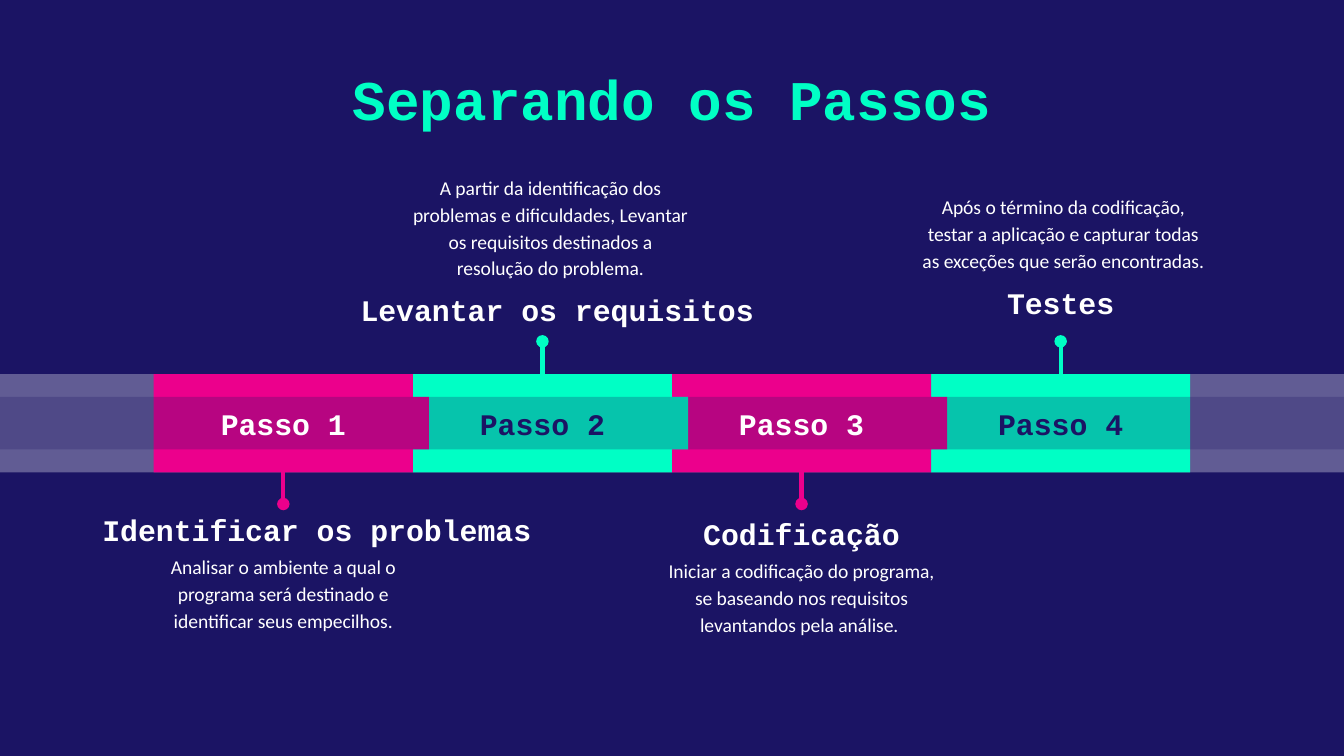
import dataclasses
import typing

import lxml.etree
import pptx
import pptx.dml.color
import pptx.enum.shapes
import pptx.enum.text
import pptx.oxml.ns
import pptx.util

COLUMNS, ROWS = 100, 56.25
CELL = pptx.util.Inches(0.1)
ANCHOR = pptx.enum.text.MSO_ANCHOR


@dataclasses.dataclass(frozen=True)
class Theme:
    navy: str = "1B1464"
    mint: str = "00FFC5"
    pink: str = "EC008C"
    white: str = "FFFFFF"
    heading_font: str = "Courier New"
    body_font: str = "Calibri"
    title_size: float = 30
    heading_size: float = 16
    body_size: float = 10.5
    stem_width: float = 2.25
    body_spacing: float = 1.15


class Area(typing.NamedTuple):
    left: float
    top: float
    width: float
    height: float


@dataclasses.dataclass(frozen=True)
class Block:
    text: str
    shift: float
    top: float
    width: float
    height: float
    anchor: ANCHOR = ANCHOR.TOP

    def area(self, centre: float) -> Area:
        return Area(centre + self.shift - self.width / 2, self.top, self.width, self.height)


@dataclasses.dataclass(frozen=True)
class Step:
    heading: Block
    body: Block


THEME = Theme()
BAND = Area(0, 27.83, COLUMNS, 7.32)
STRIPE = Area(0, 29.53, COLUMNS, 3.9)
STEP_WIDTH, TAB = 19.28, 1.2

STEPS = [
    Step(
        Block("Identificar os problemas", 2.5, 38.1, 49, 5.6),
        Block("Analisar o ambiente a qual o programa será destinado e identificar seus empecilhos.",
              0, 41.05, 23.1, 5.6),
    ),
    Step(
        Block("Levantar os requisitos", 1.1, 21.7, 49, 2.9),
        Block("A partir da identificação dos problemas e dificuldades, Levantar os requisitos "
              "destinados a resolução do problema.", 0.6, 11.43, 23.1, 9.4, ANCHOR.BOTTOM),
    ),
    Step(
        Block("Codificação", 0, 38.4, 23.1, 3.9),
        Block("Iniciar a codificação do programa, se baseando nos requisitos levantandos "
              "pela análise. ", 0, 40.35, 23.1, 7, ANCHOR.BOTTOM),
    ),
    Step(
        Block("Testes", 0, 21.2, 23.1, 3.9),
        Block("Após o término da codificação, testar a aplicação e capturar todas as exceções "
              "que serão encontradas.", 0.2, 10.9, 23.1, 9.4, ANCHOR.BOTTOM),
    ),
]
FIRST_STEP = (COLUMNS - len(STEPS) * STEP_WIDTH) / 2


def grid(cells: float) -> int:
    return round(cells * CELL)


def rgb(color: str) -> pptx.dml.color.RGBColor:
    return pptx.dml.color.RGBColor.from_string(color)


def paint(shape, color: str, opacity: int = 100) -> None:
    shape.shadow.inherit = False
    shape.line.fill.background()
    shape.fill.solid()
    shape.fill.fore_color.rgb = rgb(color)
    if opacity < 100:
        color_node = shape.fill._xPr.find(".//" + pptx.oxml.ns.qn("a:srgbClr"))
        alpha = lxml.etree.SubElement(color_node, pptx.oxml.ns.qn("a:alpha"))
        alpha.set("val", str(opacity * 1000))


def add_bar(page, area: Area, color: str, opacity: int = 100):
    bar = page.shapes.add_shape(pptx.enum.shapes.MSO_SHAPE.RECTANGLE, *map(grid, area))
    paint(bar, color, opacity)
    return bar


def add_tabbed_bar(page, area: Area, color: str):
    left, top, right, bottom = area.left, area.top, area.left + area.width, area.top + area.height
    tab_top, tab_bottom = STRIPE.top, STRIPE.top + STRIPE.height
    corners = [(left, bottom), (right, bottom), (right, tab_bottom), (right + TAB, tab_bottom),
               (right + TAB, tab_top), (right, tab_top), (right, top)]
    outline = page.shapes.build_freeform(grid(left), grid(top))
    outline.add_line_segments([(grid(x), grid(y)) for x, y in corners])
    bar = outline.convert_to_shape()
    paint(bar, color)
    return bar


def add_text(page, area: Area, text: str, *, size: float = THEME.heading_size,
             font: str = THEME.heading_font, color: str = THEME.white, bold: bool = True,
             anchor: ANCHOR = ANCHOR.TOP, padding: float = 0, spacing: float = 1.0) -> None:
    frame = page.shapes.add_textbox(*map(grid, area)).text_frame
    frame.word_wrap = True
    frame.vertical_anchor = anchor
    frame.margin_left = frame.margin_right = grid(1)
    frame.margin_top = frame.margin_bottom = grid(padding)
    para = frame.paragraphs[0]
    para.alignment = pptx.enum.text.PP_ALIGN.CENTER
    para.line_spacing = spacing
    span = para.add_run()
    span.text = text
    span.font.size = pptx.util.Pt(size)
    span.font.name = font
    span.font.bold = bold
    span.font.color.rgb = rgb(color)


def add_stem(page, centre: float, start: float, end: float, color: str):
    stem = page.shapes.add_connector(pptx.enum.shapes.MSO_CONNECTOR.STRAIGHT,
                                     grid(centre), grid(start), grid(centre), grid(end))
    stem.line.color.rgb = rgb(color)
    stem.line.width = pptx.util.Pt(THEME.stem_width)
    dot = lxml.etree.SubElement(stem.line._get_or_add_ln(), pptx.oxml.ns.qn("a:headEnd"))
    dot.set("type", "oval")
    lxml.etree.SubElement(stem._element.spPr, pptx.oxml.ns.qn("a:effectLst"))
    return stem


def add_step(page, index: int, step: Step, bar) -> None:
    above = index % 2 == 1
    centre = FIRST_STEP + STEP_WIDTH * (index + 0.5)
    add_text(page, Area(centre - 8.55, 29.2, 17.1, 3.9), f"Passo {index + 1}",
             color=THEME.navy if above else THEME.white, padding=1)
    if above:
        stem = add_stem(page, centre, 25.4, BAND.top, THEME.mint)
    else:
        stem = add_stem(page, centre, 37.5, BAND.top + BAND.height, THEME.pink)
    if index == len(STEPS) - 1:
        stem.end_connect(bar, 0)
    add_text(page, step.heading.area(centre), step.heading.text, anchor=step.heading.anchor)
    add_text(page, step.body.area(centre), step.body.text, size=THEME.body_size,
             font=THEME.body_font, bold=False, anchor=step.body.anchor,
             spacing=THEME.body_spacing)


def main() -> None:
    deck = pptx.Presentation()
    deck.slide_width, deck.slide_height = grid(COLUMNS), grid(ROWS)
    page = deck.slides.add_slide(deck.slide_layouts[6])
    page.background.fill.solid()
    page.background.fill.fore_color.rgb = rgb(THEME.navy)

    add_bar(page, BAND, THEME.white, opacity=31)
    bars = {}
    for index in reversed(range(len(STEPS))):
        area = Area(FIRST_STEP + STEP_WIDTH * index, BAND.top, STEP_WIDTH, BAND.height)
        draw = add_bar if index == len(STEPS) - 1 else add_tabbed_bar
        bars[index] = draw(page, area, THEME.mint if index % 2 else THEME.pink)
    add_bar(page, STRIPE, THEME.navy, opacity=25)

    add_text(page, Area(14, 3.8, 72, 7.3), "Separando os Passos",
             size=THEME.title_size, color=THEME.mint, padding=1)
    for index, step in enumerate(STEPS):
        add_step(page, index, step, bars[index])
    deck.save("out.pptx")


if __name__ == "__main__":
    main()
